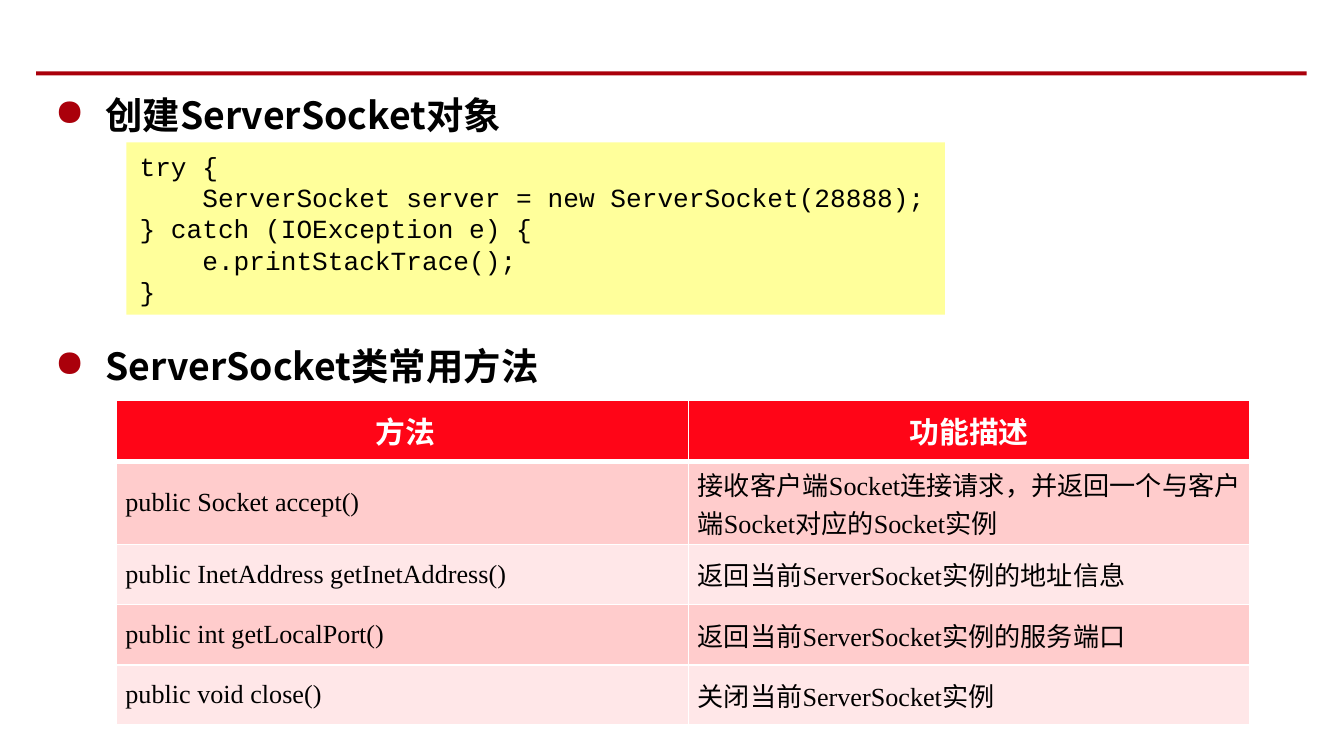
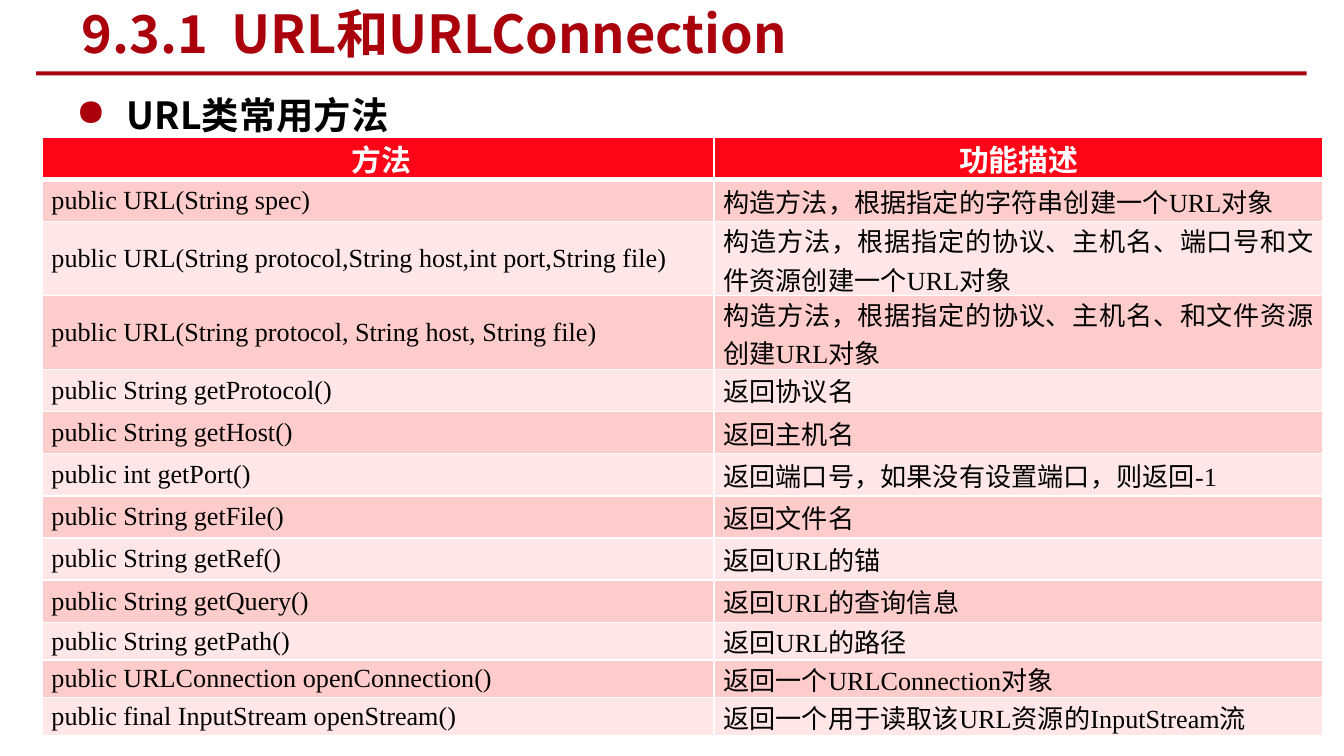
from dataclasses import dataclass

from lxml.etree import SubElement
from pptx import Presentation
from pptx.dml.color import RGBColor
from pptx.enum.shapes import MSO_SHAPE
from pptx.enum.text import MSO_ANCHOR, MSO_AUTO_SIZE, PP_ALIGN
from pptx.oxml.ns import qn
from pptx.util import Pt

# Shared colours and fonts
DARK_RED = "AA000B"
HEADER_RED = "FF0517"
BAND_COLOURS = ("FFCCCC", "FFE7E8")
CODE_YELLOW = "FFFF9B"
BLACK = "000000"
WHITE = "FFFFFF"
CHINESE_FONT = "Noto Sans CJK SC"


@dataclass(frozen=True)
class TextStyle:
    font: str
    size: float
    colour: str = BLACK
    bold: bool = False


TITLE = TextStyle(CHINESE_FONT, 28, DARK_RED, True)
HEADING = TextStyle(CHINESE_FONT, 20, BLACK, True)
CODE = TextStyle("Courier New", 14)
TABLE_HEADER = TextStyle("Arial", 16, WHITE, True)
TABLE_BODY = TextStyle("Times New Roman", 14)


@dataclass(frozen=True)
class Area:
    left: float
    top: float
    width: float
    height: float

    def lengths(self) -> list:
        return [Pt(value) for value in (self.left, self.top, self.width, self.height)]


@dataclass(frozen=True)
class MethodTable:
    area: Area
    column_widths: tuple
    row_heights: tuple
    methods: tuple


RULE_AREA = Area(19.4, 38.2, 680.6, 2.2)
TABLE_HEADINGS = (" 方法", "功能描述")

SERVER_CODE = """try {
    ServerSocket server = new ServerSocket(28888);
} catch (IOException e) {
    e.printStackTrace();
}"""

SERVER_TABLE = MethodTable(
    Area(62.2, 214.2, 607.6, 174.2),
    (306.6, 301),
    (32.8, 44.6) + (32.3,) * 3,
    (
        ("public Socket accept()", "接收客户端Socket连接请求，并返回一个与客户端Socket对应的Socket实例"),
        ("public InetAddress getInetAddress()", "返回当前ServerSocket实例的地址信息"),
        ("public int getLocalPort()", "返回当前ServerSocket实例的服务端口"),
        ("public void close()", "关闭当前ServerSocket实例"),
    ),
)

URL_TABLE = MethodTable(
    Area(22.6, 73.4, 686.2, 320.4),
    (360, 326.2),
    (23, 22.3) + (39.6,) * 2 + (22.6,) * 6 + (20.2,) * 3,
    (
        ("public URL(String spec)", "构造方法，根据指定的字符串创建一个URL对象"),
        ("public URL(String protocol,String host,int port,String file)",
         "构造方法，根据指定的协议、主机名、端口号和文件资源创建一个URL对象"),
        ("public URL(String protocol, String host, String file)",
         "构造方法，根据指定的协议、主机名、和文件资源创建URL对象"),
        ("public String getProtocol()", "返回协议名"),
        ("public String getHost()", "返回主机名"),
        ("public int getPort()", "返回端口号，如果没有设置端口，则返回-1"),
        ("public String getFile()", "返回文件名"),
        ("public String getRef()", "返回URL的锚"),
        ("public String getQuery()", "返回URL的查询信息"),
        ("public String getPath()", "返回URL的路径"),
        ("public URLConnection openConnection()", "返回一个URLConnection对象"),
        ("public final InputStream openStream()", "返回一个用于读取该URL资源的InputStream流"),
    ),
)


def colour(code: str) -> RGBColor:
    return RGBColor.from_string(code)


def paint(target, code: str) -> None:
    target.fill.solid()
    target.fill.fore_color.rgb = colour(code)


def style_paragraph(para, style: TextStyle, align=PP_ALIGN.LEFT) -> None:
    para.alignment = align
    font = para.font
    font.size = Pt(style.size)
    font.bold = style.bold
    font.color.rgb = colour(style.colour)
    font.name = style.font
    SubElement(para._p.pPr.find(qn("a:defRPr")), qn("a:ea"), typeface=CHINESE_FONT)


def add_rectangle(page, area: Area, fill: str):
    box = page.shapes.add_shape(MSO_SHAPE.RECTANGLE, *area.lengths())
    box.shadow.inherit = False
    box.line.fill.background()
    paint(box, fill)
    return box


def add_text(page, area: Area, text: str):
    frame = page.shapes.add_textbox(*area.lengths()).text_frame
    frame.word_wrap = True
    frame.text = text
    return frame


def add_title(page, text: str) -> None:
    frame = add_text(page, Area(36.7, 1.4, 442, 32.4), text)
    frame.vertical_anchor = MSO_ANCHOR.MIDDLE
    style_paragraph(frame.paragraphs[0], TITLE)


def add_heading(page, area: Area, text: str) -> None:
    para = add_text(page, area, text).paragraphs[0]
    para.line_spacing = 1.5
    properties = para._p.get_or_add_pPr()
    properties.set("marL", str(Pt(27)))
    properties.set("indent", str(-Pt(27)))
    bullet_colour = SubElement(properties, qn("a:buClr"))
    SubElement(bullet_colour, qn("a:srgbClr"), val=DARK_RED)
    SubElement(properties, qn("a:buChar"), char="●")
    style_paragraph(para, HEADING)


def add_code(page, area: Area, code: str) -> None:
    frame = add_rectangle(page, area, CODE_YELLOW).text_frame
    frame.word_wrap = True
    frame.auto_size = MSO_AUTO_SIZE.SHAPE_TO_FIT_TEXT
    frame.vertical_anchor = MSO_ANCHOR.MIDDLE
    frame.text = code
    for para in frame.paragraphs:
        style_paragraph(para, CODE)


def add_borders(cell, top: float, bottom: float) -> None:
    properties = cell._tc.get_or_add_tcPr()
    for side, width in (("L", 1), ("R", 1), ("T", top), ("B", bottom)):
        line = SubElement(properties, qn(f"a:ln{side}"), w=str(Pt(width)))
        fill = SubElement(line, qn("a:solidFill"))
        SubElement(fill, qn("a:srgbClr"), val=WHITE)


def fill_cell(cell, text: str, row: int) -> None:
    is_header = row == 0
    cell.vertical_anchor = MSO_ANCHOR.MIDDLE
    cell.margin_top = cell.margin_bottom = 0
    cell.margin_left = cell.margin_right = Pt(0 if is_header else 5)
    add_borders(cell, top=3 if row == 1 else 1, bottom=3 if is_header else 1)
    paint(cell, HEADER_RED if is_header else BAND_COLOURS[(row - 1) % 2])
    cell.text = text
    style_paragraph(
        cell.text_frame.paragraphs[0],
        TABLE_HEADER if is_header else TABLE_BODY,
        PP_ALIGN.CENTER if is_header else PP_ALIGN.JUSTIFY,
    )


def add_method_table(page, content: MethodTable) -> None:
    rows = (TABLE_HEADINGS, *content.methods)
    table = page.shapes.add_table(
        len(rows), len(TABLE_HEADINGS), *content.area.lengths()
    ).table
    table.horz_banding = False
    for column, width in zip(table.columns, content.column_widths):
        column.width = Pt(width)
    for table_row, height in zip(table.rows, content.row_heights):
        table_row.height = Pt(height)
    for row, texts in enumerate(rows):
        for column, text in enumerate(texts):
            fill_cell(table.cell(row, column), text, row)


def add_page(deck):
    page = deck.slides.add_slide(deck.slide_layouts[6])
    add_rectangle(page, RULE_AREA, DARK_RED)
    return page


def main() -> None:
    deck = Presentation()
    deck.slide_width, deck.slide_height = Pt(720), Pt(405)

    # ServerSocket: creation code and methods
    page = add_page(deck)
    add_heading(page, Area(22.3, 33.8, 646.6, 84.2), "创建ServerSocket对象")
    add_code(page, Area(67.7, 76.3, 438.5, 92.2), SERVER_CODE)
    add_heading(page, Area(22.3, 168.5, 646.6, 84.2), "ServerSocket类常用方法")
    add_method_table(page, SERVER_TABLE)

    # URL: methods
    page = add_page(deck)
    add_title(page, "9.3.1  URL和URLConnection")
    add_heading(page, Area(33.8, 33.8, 674.6, 39.6), "URL类常用方法")
    add_method_table(page, URL_TABLE)

    deck.save("out.pptx")


if __name__ == "__main__":
    main()
